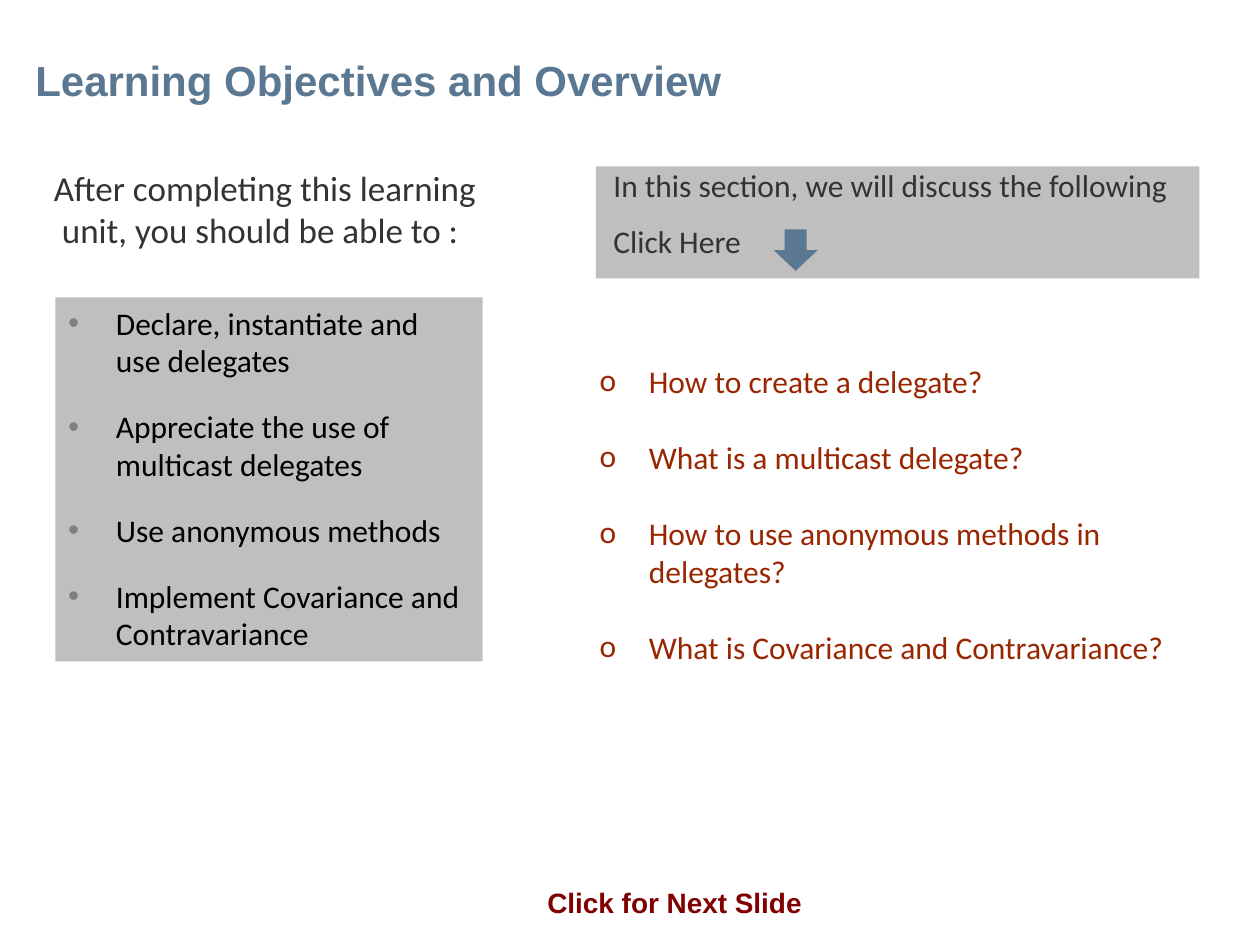
from lxml.etree import SubElement
from pptx import Presentation
from pptx.dml.color import RGBColor
from pptx.enum.shapes import MSO_SHAPE as Shape
from pptx.enum.text import MSO_ANCHOR as Anchor, MSO_AUTO_SIZE as AutoSize, PP_ALIGN as Align
from pptx.oxml.ns import qn
from pptx.util import Inches, Pt

SLATE = RGBColor(0x5B, 0x78, 0x93)
PANEL_GRAY = RGBColor(0xBF, 0xBF, 0xBF)
BULLET_GRAY = RGBColor(0x80, 0x80, 0x80)
DARK_GRAY = RGBColor(0x33, 0x33, 0x33)
BLACK = RGBColor(0, 0, 0)
RUST = RGBColor(0x99, 0x26, 0x00)
MAROON = RGBColor(0x80, 0, 0)

OBJECTIVES = [
    "Declare, instantiate and use delegates",
    "Appreciate the use of multicast delegates",
    "Use anonymous methods",
    "Implement Covariance and Contravariance",
]
TOPICS = [
    "How to create a delegate?",
    "What is a multicast delegate?",
    "How to use anonymous methods in delegates?",
    "What is Covariance and Contravariance?",
]


def place(part, box):
    part.left, part.top, part.width, part.height = (Inches(length) for length in box)


def add_bullet(paragraph, symbol, color, font, indent, hanging):
    properties = paragraph._p.get_or_add_pPr()
    properties.set("marL", str(Inches(indent)))
    properties.set("indent", str(-Inches(hanging)))
    bullet_color = SubElement(properties, qn("a:buClr"))
    SubElement(bullet_color, qn("a:srgbClr"), val=str(color))
    SubElement(properties, qn("a:buFont"), typeface=font)
    SubElement(properties, qn("a:buChar"), char=symbol)


def write_text(part, lines, size=18, font="Calibri", color=DARK_GRAY, bold=False,
               align=Align.LEFT, anchor=Anchor.TOP, before=0, after=0, bullet=None):
    frame = part.text_frame
    frame.word_wrap = True
    frame.auto_size = AutoSize.NONE
    frame.vertical_anchor = anchor
    for number, line in enumerate(lines):
        paragraph = frame.add_paragraph() if number else frame.paragraphs[0]
        paragraph.text = line
        paragraph.alignment = align
        paragraph.line_spacing = 1.0
        paragraph.space_before = Pt(before)
        paragraph.space_after = Pt(after)
        for run in paragraph.runs:
            run.font.size = Pt(size)
            run.font.name = font
            run.font.bold = bold
            run.font.color.rgb = color
        if bullet:
            add_bullet(paragraph, **bullet)


def add_label(slide, box, lines, **text_format):
    label = slide.shapes.add_textbox(*(Inches(length) for length in box))
    write_text(label, lines, **text_format)


def add_filled_shape(slide, kind, box, color):
    shape = slide.shapes.add_shape(kind, *(Inches(length) for length in box))
    shape.shadow.inherit = False
    shape.fill.solid()
    shape.fill.fore_color.rgb = color
    shape.line.fill.background()


def fill_title(slide, box):
    title = slide.shapes.title
    place(title, box)
    frame = title.text_frame
    frame.margin_left, frame.margin_right = Inches(0.28), 0
    frame.margin_top, frame.margin_bottom = 0, Inches(0.05)
    write_text(title, ["Learning Objectives and Overview"], size=24, font="Arial",
               color=SLATE, bold=True, anchor=Anchor.BOTTOM)


def fill_objectives(slide, box):
    left, top, width, height = box
    add_label(slide, (left - 0.11, top - 1.09, width + 0.5, 0.77),
              ["After completing this learning\v unit, you should be able to :"], size=20)
    objectives = slide.placeholders[1]
    place(objectives, box)
    objectives.fill.solid()
    objectives.fill.fore_color.rgb = PANEL_GRAY
    write_text(objectives, OBJECTIVES, color=BLACK, before=12, after=4,
               bullet=dict(symbol="•", color=BULLET_GRAY, font="Arial",
                           indent=0.38, hanging=0.38))


def add_section_header(slide, box):
    left, top, width, height = box
    add_filled_shape(slide, Shape.RECTANGLE, box, PANEL_GRAY)
    add_label(slide, (left + 0.04, top - 0.05, width - 0.06, height - 0.04),
              ["In this section, we will discuss the following", "Click Here"],
              before=6, after=4)
    add_filled_shape(slide, Shape.DOWN_ARROW, (left + 1.41, top + 0.5, 0.35, 0.33), SLATE)


def fill_topics(slide, box):
    topics = slide.placeholders[2]
    place(topics, box)
    write_text(topics, TOPICS, color=RUST, before=22,
               bullet=dict(symbol="o", color=RUST, font="Calibri",
                           indent=0.59, hanging=0.39))


def add_next_prompt(slide, box):
    add_label(slide, box, ["Click for Next Slide "], size=16, font="Arial",
              color=MAROON, bold=True, align=Align.CENTER)


def main():
    deck = Presentation()
    deck.slide_width, deck.slide_height = Inches(10), Inches(7.5)
    slide = deck.slides.add_slide(deck.slide_layouts[3])
    fill_title(slide, (0, 0.25, 9.14, 0.63))
    fill_objectives(slide, (0.44, 2.36, 3.39, 2.89))
    add_section_header(slide, (4.73, 1.32, 4.79, 0.89))
    fill_topics(slide, (4.46, 2.82, 5, 3.25))
    add_next_prompt(slide, (3.78, 6.98, 3.21, 0.37))
    deck.save("out.pptx")


if __name__ == "__main__":
    main()
